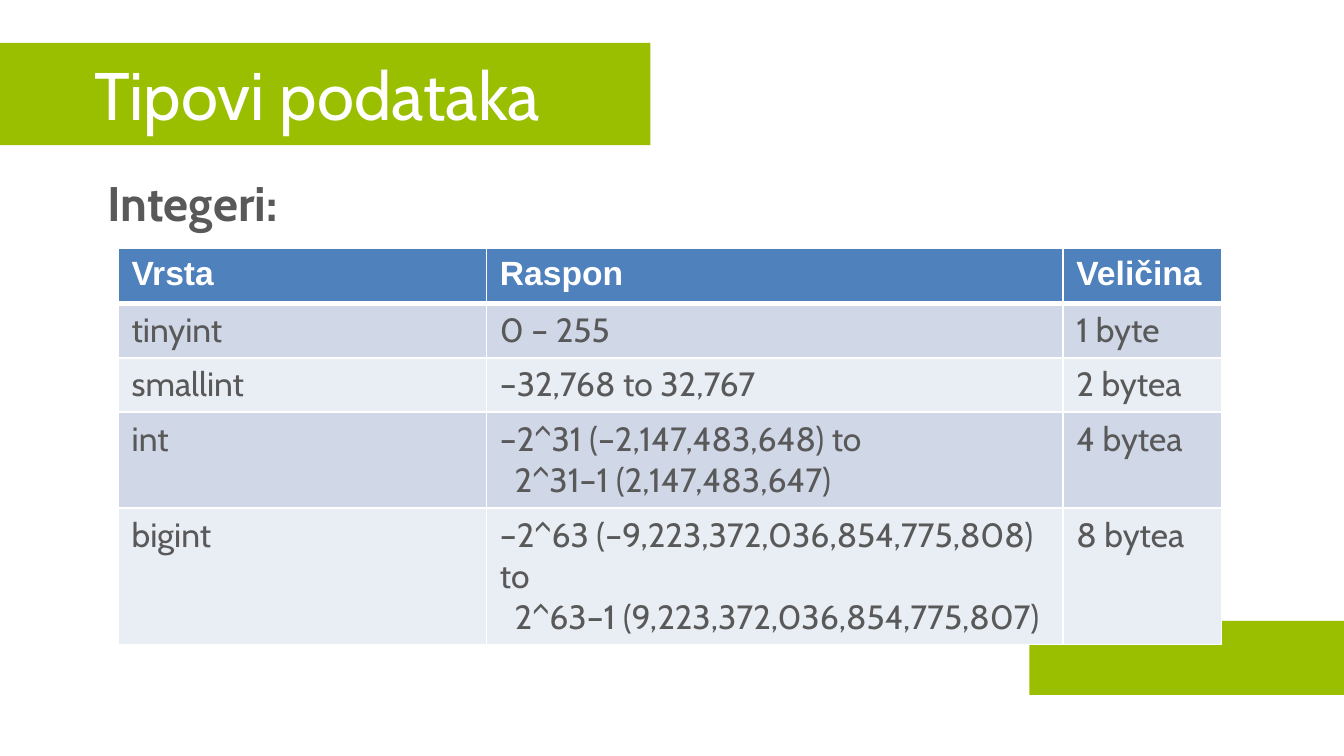
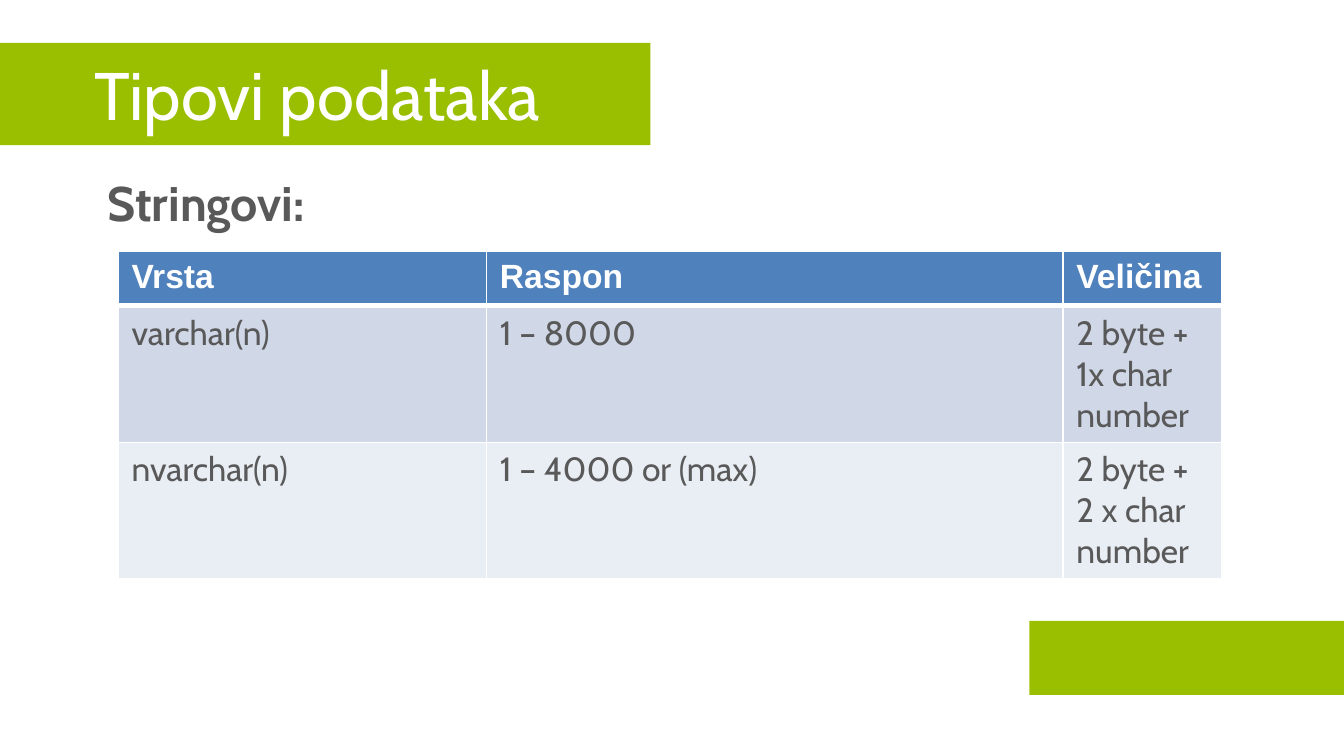
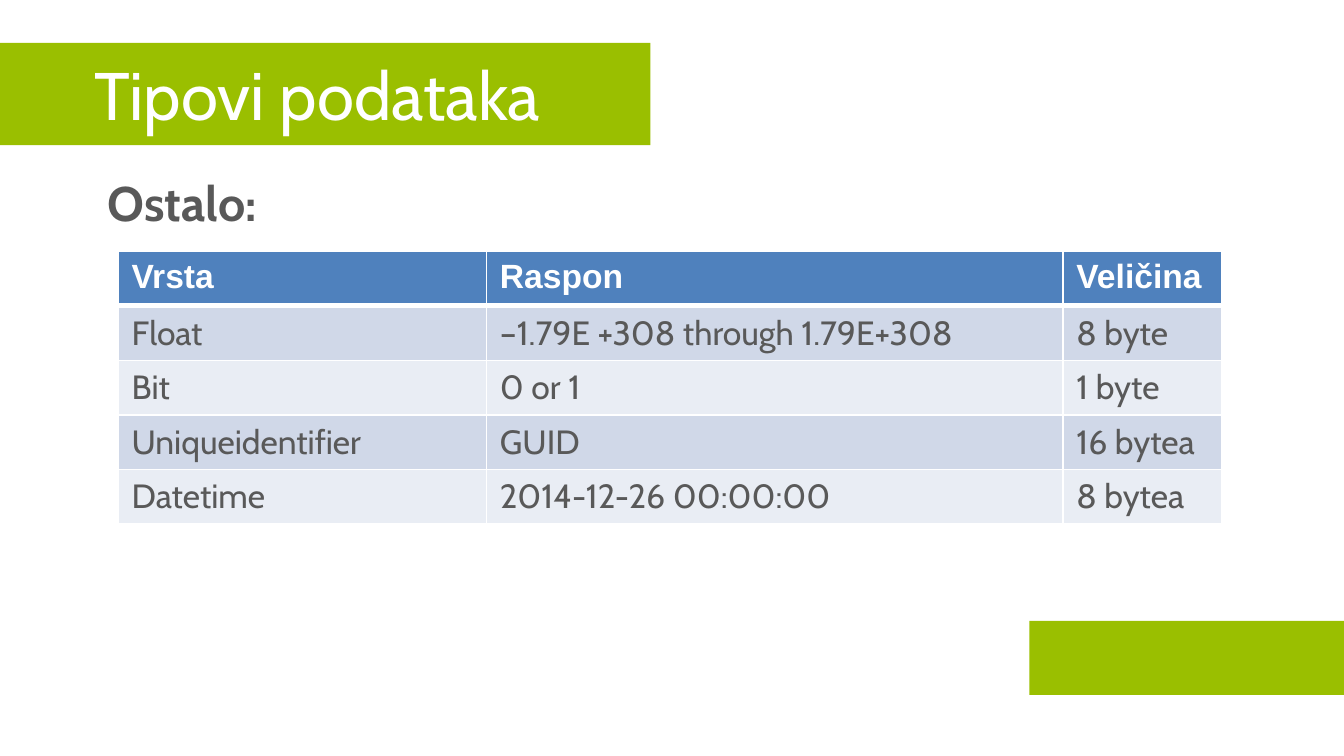
from dataclasses import dataclass

import lxml.etree
import pptx
import pptx.dml.color
import pptx.enum.shapes
import pptx.enum.text
import pptx.oxml.ns
import pptx.util

Inches = pptx.util.Inches
Pt = pptx.util.Pt
qn = pptx.oxml.ns.qn


@dataclass(frozen=True)
class Theme:
    band: str = "9ABF00"
    white: str = "FFFFFF"
    text: str = "595959"
    header: str = "4F81BD"
    stripes: tuple = ("D0D8E8", "E9EDF4")
    font: str = "Cabin"
    header_font: str = "Arial"
    title_size: int = 36
    heading_size: int = 26
    table_size: int = 18


THEME = Theme()
TITLE = "Tipovi podataka"
HEADER = ("Vrsta", "Raspon", "Veličina")

# Heading, top of the table, rows; a line break starts an indented paragraph.
SECTIONS = [
    ("Integeri:", 1.85, [
        ("tinyint", "0 – 255", "1 byte"),
        ("smallint", "–32,768 to 32,767", "2 bytea"),
        ("int", "–2^31 (–2,147,483,648) to\n2^31–1 (2,147,483,647)", "4 bytea"),
        ("bigint",
         "–2^63 (–9,223,372,036,854,775,808) to\n2^63–1 (9,223,372,036,854,775,807)",
         "8 bytea"),
    ]),
    ("Stringovi:", 1.87, [
        ("varchar(n)", "1 – 8000", "2 byte + 1x char number"),
        ("nvarchar(n)", "1 – 4000 or (max)", "2 byte + 2 x char number"),
    ]),
    ("Ostalo:", 1.87, [
        ("Float", "–1.79E +308 through 1.79E+308", "8 byte"),
        ("Bit", "0 or 1", "1 byte"),
        ("Uniqueidentifier", "GUID", "16 bytea"),
        ("Datetime", "2014-12-26 00:00:00", "8 bytea"),
    ]),
]

# Left, top, width, height in inches
BANDS = [(7.66, 4.62, 2.34, 0.55), (0, 0.32, 4.84, 0.76)]
TITLE_BOX = (0, 0.51, 4.72, 0.37)
BODY_BOX = (0.2, 1.24, 9, 3.71)
TABLE_LEFT = 0.88
COLUMN_WIDTHS = (2.74, 4.29, 1.18)
ROW_HEIGHT = 2.03 / 5
HEADING_INDENT = 0.5
CONTINUATION_INDENT = 0.11


def rgb(color):
    return pptx.dml.color.RGBColor.from_string(color)


def style(paragraph, size, color, font=THEME.font, bold=False):
    paragraph.font.size = Pt(size)
    paragraph.font.color.rgb = rgb(color)
    paragraph.font.name = font
    paragraph.font.bold = bold


def indent(paragraph, inches):
    """Move the whole paragraph right, without a hanging first line."""
    properties = paragraph._p.get_or_add_pPr()
    properties.set("marL", str(Inches(inches)))
    properties.set("indent", "0")
    return properties


def place(shape, box):
    shape.left, shape.top, shape.width, shape.height = map(Inches, box)


def prepare_layout(layout):
    """Place the title and body for all slides and drop the unused footers."""
    for placeholder in list(layout.placeholders):
        index = placeholder.placeholder_format.idx
        if index > 1:
            placeholder.element.getparent().remove(placeholder.element)
        else:
            place(placeholder, (TITLE_BOX, BODY_BOX)[index])


def add_bands(slide):
    """Draw the bands and move them to the layout, behind its placeholders."""
    for box in BANDS:
        band = slide.shapes.add_shape(
            pptx.enum.shapes.MSO_SHAPE.RECTANGLE, *map(Inches, box))
        band.shadow.inherit = False
        band.fill.solid()
        band.fill.fore_color.rgb = rgb(THEME.band)
        band.line.fill.background()
        slide.slide_layout.shapes.element.insert(2, band.element)


def fill_placeholders(slide, heading):
    title, body = (shape.text_frame for shape in slide.placeholders)
    for frame, text in ((title, TITLE), (body, heading)):
        frame.text = text
        frame.word_wrap = True
        frame.auto_size = pptx.enum.text.MSO_AUTO_SIZE.NONE
    title.vertical_anchor = pptx.enum.text.MSO_ANCHOR.MIDDLE
    title.paragraphs[0].alignment = pptx.enum.text.PP_ALIGN.CENTER
    style(title.paragraphs[0], THEME.title_size, THEME.white)
    paragraph = body.paragraphs[0]
    paragraph.level = 1
    style(paragraph, THEME.heading_size, THEME.text, bold=True)
    properties = indent(paragraph, HEADING_INDENT)
    properties.insert(0, lxml.etree.Element(qn("a:buNone")))


def add_borders(cell, row):
    """White rules, thicker between the header and the first row."""
    properties = cell._tc.get_or_add_tcPr()
    for edge in "LRTB":
        thick = (row, edge) in ((0, "B"), (1, "T"))
        line = lxml.etree.SubElement(
            properties, qn(f"a:ln{edge}"), w=str(Pt(3 if thick else 1)))
        fill = lxml.etree.SubElement(line, qn("a:solidFill"))
        lxml.etree.SubElement(fill, qn("a:srgbClr"), val=THEME.white)


def fill_cell(cell, text, row):
    add_borders(cell, row)
    cell.fill.solid()
    cell.fill.fore_color.rgb = rgb(THEME.stripes[(row - 1) % 2] if row else THEME.header)
    cell.text = text
    for number, paragraph in enumerate(cell.text_frame.paragraphs):
        if row:
            style(paragraph, THEME.table_size, THEME.text)
        else:
            style(paragraph, THEME.table_size, THEME.white, THEME.header_font, True)
        if number:
            indent(paragraph, CONTINUATION_INDENT)


def add_type_table(slide, top, types):
    rows = [HEADER, *types]
    table = slide.shapes.add_table(
        len(rows), len(HEADER), Inches(TABLE_LEFT), Inches(top),
        Inches(sum(COLUMN_WIDTHS)), Inches(ROW_HEIGHT * len(rows))).table
    for column, width in zip(table.columns, COLUMN_WIDTHS):
        column.width = Inches(width)
    for row, texts in enumerate(rows):
        for column, text in enumerate(texts):
            fill_cell(table.cell(row, column), text, row)


def main():
    deck = pptx.Presentation()
    deck.slide_width = Inches(10)
    deck.slide_height = deck.slide_width * 9 // 16
    layout = deck.slide_layouts[1]
    prepare_layout(layout)
    for number, (heading, top, types) in enumerate(SECTIONS):
        slide = deck.slides.add_slide(layout)
        if number == 0:
            add_bands(slide)
        fill_placeholders(slide, heading)
        add_type_table(slide, top, types)
    deck.save("out.pptx")


if __name__ == "__main__":
    main()
